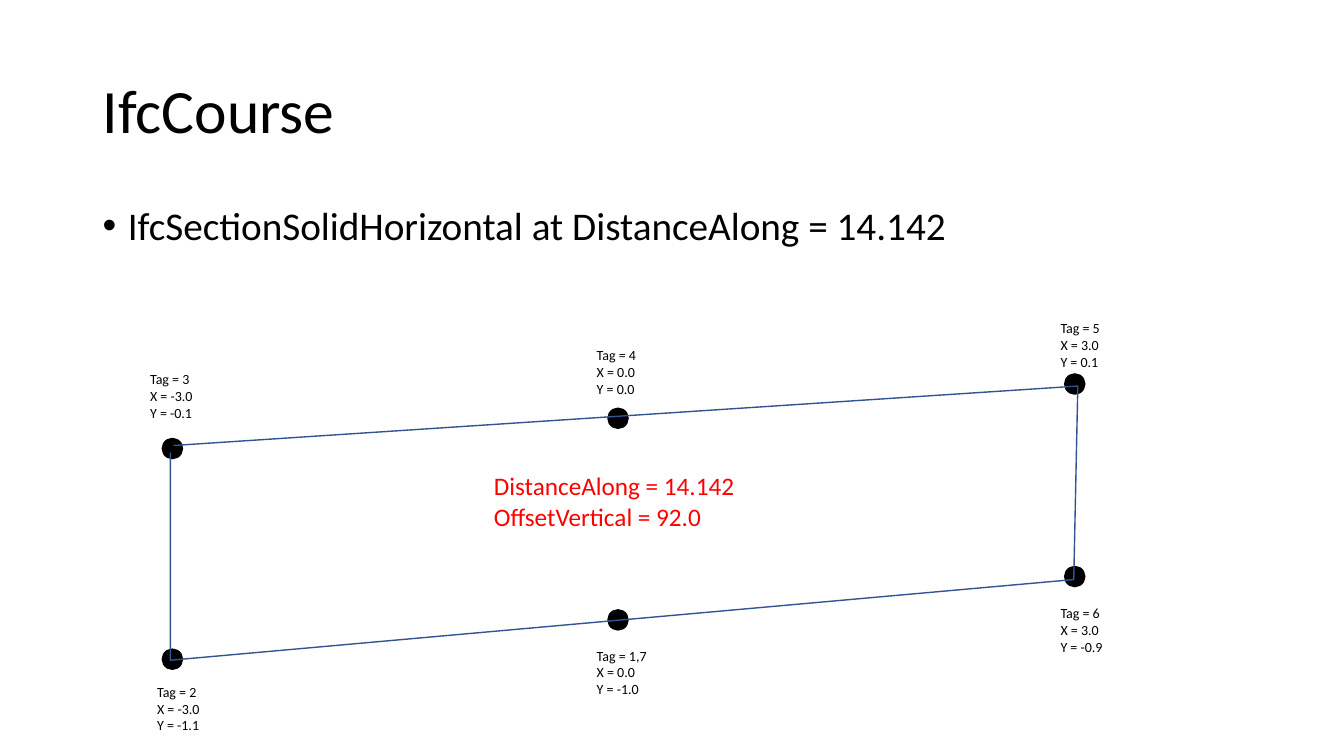
from dataclasses import dataclass

from lxml import etree
from pptx import Presentation
from pptx.dml.color import RGBColor
from pptx.enum.shapes import MSO_SHAPE
from pptx.enum.text import MSO_ANCHOR, MSO_AUTO_SIZE, PP_ALIGN
from pptx.oxml.ns import qn
from pptx.util import Inches, Pt

DOT = MSO_SHAPE.FLOWCHART_CONNECTOR
TOP, MIDDLE = MSO_ANCHOR.TOP, MSO_ANCHOR.MIDDLE
NO_FIT = MSO_AUTO_SIZE.NONE
LEFT = PP_ALIGN.LEFT
TITLE_ONLY = 5


@dataclass(frozen=True)
class Theme:
    font: str = "Calibri"
    ink: RGBColor = RGBColor(0x00, 0x00, 0x00)
    accent: RGBColor = RGBColor(0xFF, 0x00, 0x00)
    outline: RGBColor = RGBColor(0x32, 0x54, 0x91)
    title_size: int = 44
    body_size: int = 28
    note_size: int = 18
    label_size: int = 10
    line_width: int = 1


THEME = Theme()
DOT_SIZE = 0.2

# Tag, x, y, then dot corner and label corner, relative to the diagram
POINTS = [
    ("3", "-3.0", "-0.1", (0.22, 1.23), (0, 0.51)),
    ("1,7", "0.0", "-1.0", (4.64, 2.93), (4.43, 3.25)),
    ("4", "0.0", "0.0", (4.64, 0.93), (4.43, 0.27)),
    ("2", "-3.0", "-1.1", (0.22, 3.32), (0.07, 3.61)),
    ("5", "3.0", "0.1", (9.17, 0.59), (9.03, 0)),
    ("6", "3.0", "-0.9", (9.17, 2.5), (9.03, 2.83)),
]
SECTION = [(0.33, 1.3), (9.3, 0.71), (9.26, 2.63), (0.3, 3.43), (0.3, 1.37)]


def write_text(shape, text, *, size, color=THEME.ink, anchor=TOP,
               line_spacing=None, space_before=0):
    """Fill a shape with one paragraph per line and return the paragraphs."""
    frame = shape.text_frame
    frame.text = text
    frame.word_wrap = True
    frame.auto_size = NO_FIT
    frame.vertical_anchor = anchor
    for para in frame.paragraphs:
        para.alignment = LEFT
        para.line_spacing = line_spacing
        para.space_before = Pt(space_before)
        for span in para.runs:
            span.font.name = THEME.font
            span.font.size = Pt(size)
            span.font.color.rgb = color
    return frame.paragraphs


def add_text(page, box, text, **text_format):
    shape = page.shapes.add_textbox(*map(Inches, box))
    return write_text(shape, text, **text_format)


def add_title(page, box, text):
    title = page.shapes.title
    title.left, title.top, title.width, title.height = map(Inches, box)
    write_text(title, text, size=THEME.title_size, anchor=MIDDLE, line_spacing=0.9)


def add_bullets(page, box, text):
    for para in add_text(page, box, text, size=THEME.body_size,
                         line_spacing=0.9, space_before=10):
        properties = para._p.get_or_add_pPr()
        properties.set("marL", str(Inches(0.25)))
        properties.set("indent", str(Inches(-0.25)))
        etree.SubElement(properties, qn("a:buFont")).set("typeface", "Arial")
        etree.SubElement(properties, qn("a:buChar")).set("char", "•")


def add_dot(page, left, top):
    dot = page.shapes.add_shape(DOT, *map(Inches, (left, top, DOT_SIZE, DOT_SIZE)))
    dot.shadow.inherit = False
    dot.fill.solid()
    dot.fill.fore_color.rgb = THEME.ink
    dot.line.color.rgb = THEME.ink
    dot.line.width = Pt(THEME.line_width)


def add_outline(page, corners):
    start, *rest = [(Inches(x), Inches(y)) for x, y in corners]
    builder = page.shapes.build_freeform(*start)
    builder.add_line_segments(rest, close=False)
    outline = builder.convert_to_shape()
    outline.shadow.inherit = False
    outline.fill.background()
    outline.line.color.rgb = THEME.outline
    outline.line.width = Pt(THEME.line_width)


def add_diagram(page, box):
    left, top, _, _ = box

    # Measured points
    for *_, (x, y), _ in POINTS:
        add_dot(page, left + x, top + y)

    # Section outline, open at its last corner
    add_outline(page, [(left + x, top + y) for x, y in SECTION])

    # Point labels
    for tag, x_value, y_value, _, (x, y) in POINTS:
        add_text(page, (left + x, top + y, 1.02, 0.61),
                 f"Tag = {tag}\nX = {x_value}\nY = {y_value}", size=THEME.label_size)

    # Placement note
    add_text(page, (left + 3.41, top + 1.5, 2.83, 0.71),
             "DistanceAlong = 14.142\nOffsetVertical = 92.0",
             size=THEME.note_size, color=THEME.accent)


def main():
    deck = Presentation()
    deck.slide_width, deck.slide_height = Inches(13.33), Inches(7.5)
    page = deck.slides.add_slide(deck.slide_layouts[TITLE_ONLY])
    add_title(page, (0.92, 0.4, 11.5, 1.45), "IfcCourse")
    add_bullets(page, (0.92, 2, 11.5, 4.76),
                "IfcSectionSolidHorizontal at DistanceAlong = 14.142")
    add_diagram(page, (1.39, 3.12, 10.17, 4.22))
    deck.save("out.pptx")


if __name__ == "__main__":
    main()
